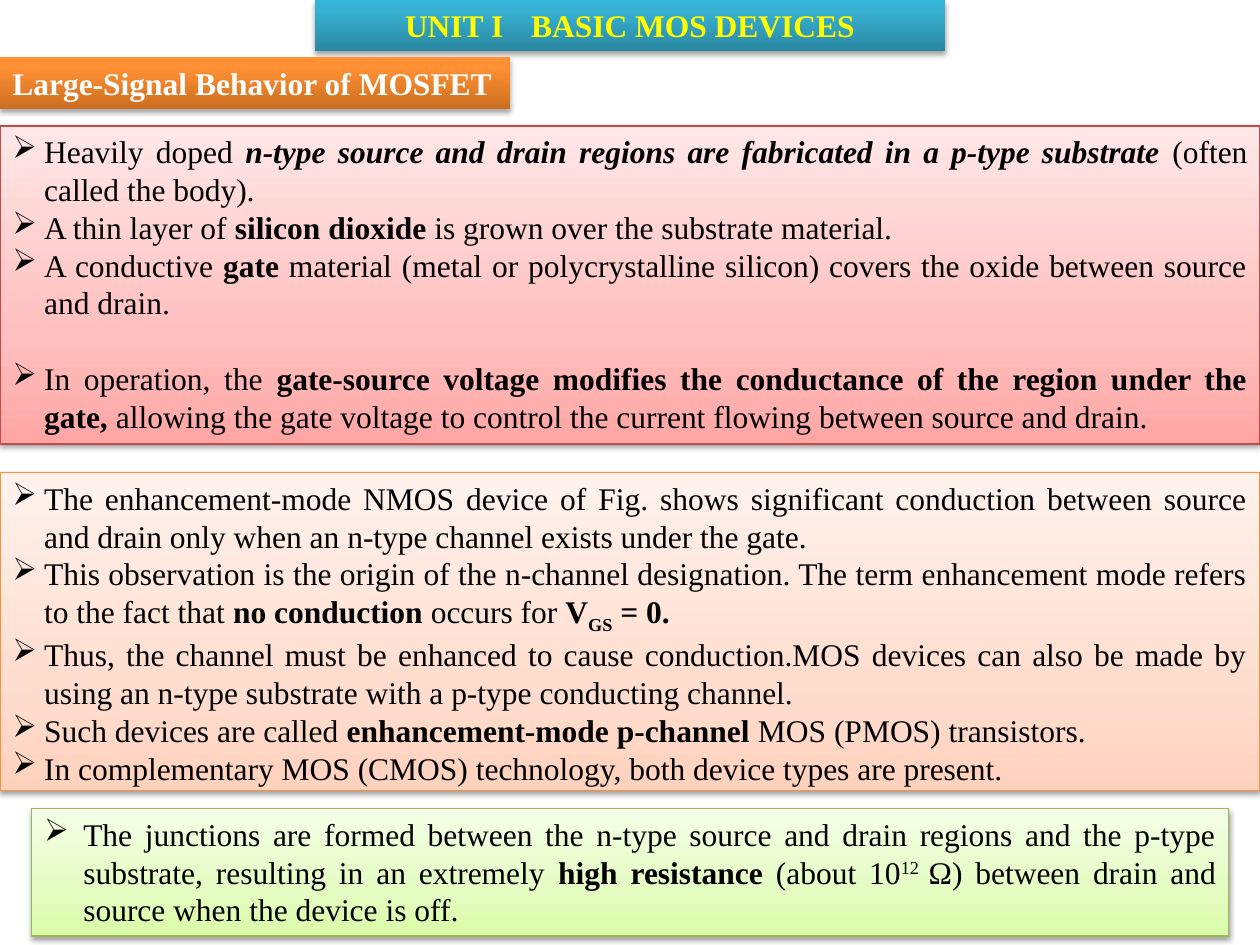
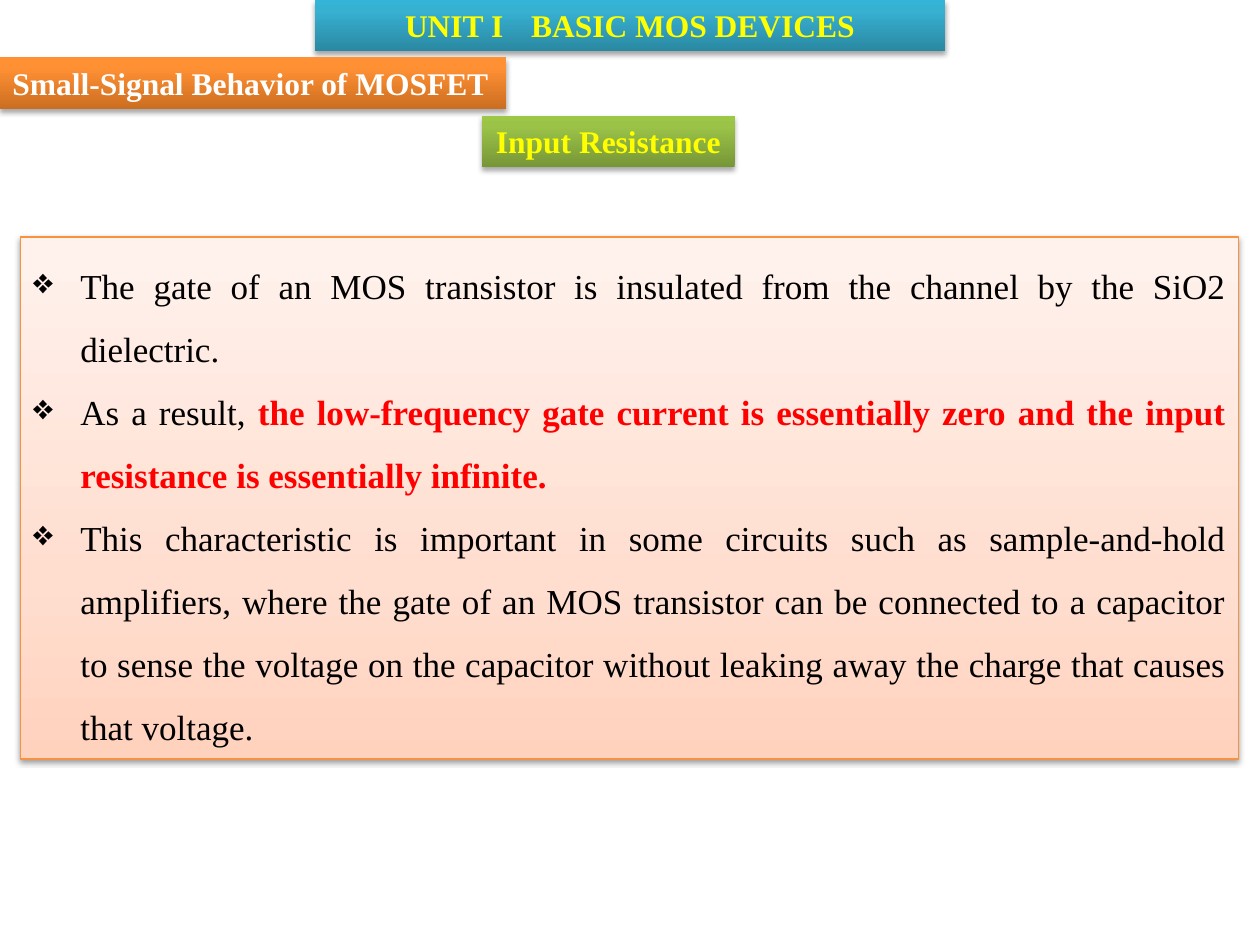
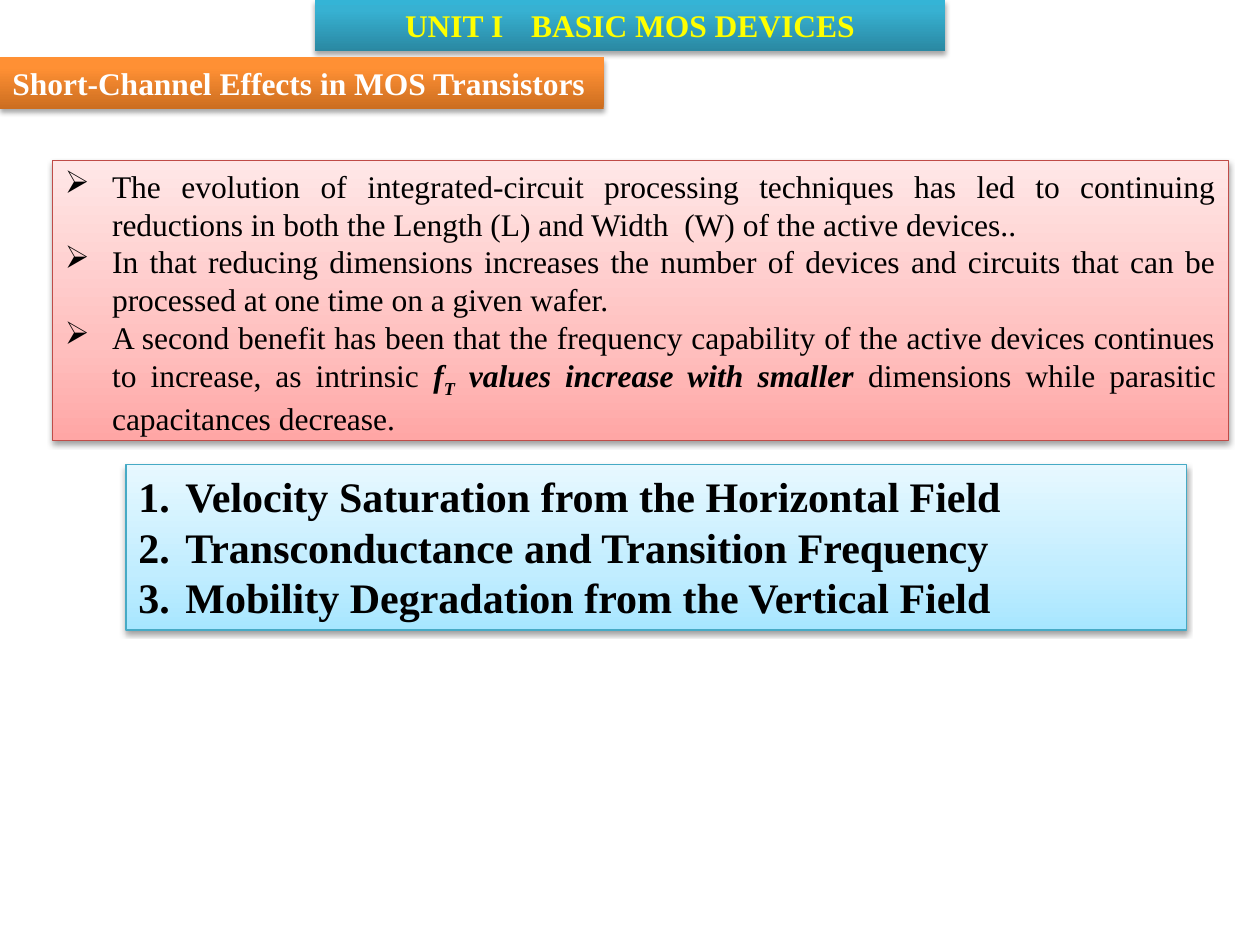
from dataclasses import dataclass

from lxml.etree import SubElement
from pptx import Presentation
from pptx.dml.color import RGBColor
from pptx.enum.shapes import MSO_SHAPE
from pptx.enum.text import MSO_ANCHOR, MSO_AUTO_SIZE, PP_ALIGN
from pptx.oxml.ns import qn
from pptx.util import Cm, Pt

RECTANGLE = MSO_SHAPE.RECTANGLE
TOP = MSO_ANCHOR.TOP
GROW = MSO_AUTO_SIZE.SHAPE_TO_FIT_TEXT
LEFT, CENTER, JUSTIFY = PP_ALIGN.LEFT, PP_ALIGN.CENTER, PP_ALIGN.JUSTIFY


@dataclass(frozen=True)
class Palette:
    stops: tuple
    outline: str = ""


@dataclass(frozen=True)
class Theme:
    font: str = "Times New Roman"
    body: int = 18
    large: int = 20
    topics: int = 24
    ink: str = "000000"
    white: str = "FFFFFF"
    yellow: str = "FFFF00"
    red: str = "FF0000"
    teal: Palette = Palette(((0, "2A88A2"), (80, "37B1D2"), (100, "34B4D6")))
    orange: Palette = Palette(((0, "CC6E20"), (80, "FF9034"), (100, "FF9136")))
    green: Palette = Palette(((0, "779737"), (80, "9BC348"), (100, "9DC746")))
    rose: Palette = Palette(((0, "FFA6A5"), (35, "FFC0BF"), (100, "FFE7E7")), "BF4C48")
    peach: Palette = Palette(((0, "FFD2BD"), (35, "FFDED0"), (100, "FFF2ED")), "F69240")
    lime: Palette = Palette(((0, "DAFDA7"), (35, "E4FCC2"), (100, "F5FFE7")), "98B955")
    sky: Palette = Palette(((0, "A7E6FF"), (35, "C1EDFF"), (100, "E7F8FF")), "46AAC5")


THEME = Theme()
UNIT = "UNIT I\tBASIC MOS DEVICES"
BAND_HEIGHT = 1.03
ARROW, DIAMOND, NUMBER = "➢", "❖", "1."

BOLD = {"bold": True}
STRONG = {"bold": True, "italic": True}
ALERT = {"bold": True, "color": THEME.red}
BOLD_SUB = {"bold": True, "baseline": -25}
STRONG_SUB = {**STRONG, "baseline": -25}
SUPER = {"baseline": 30}

STRUCTURE = [
    ["Heavily doped ",
     ("n-type source and drain regions are fabricated in a p-type substrate ", STRONG),
     "(often called the body)."],
    ["A thin layer of ", ("silicon dioxide ", BOLD), "is grown over the substrate material."],
    ["A conductive ", ("gate", BOLD),
     " material (metal or polycrystalline silicon) covers the oxide between source and drain."],
    ["In operation, the ",
     ("gate-source voltage modifies the conductance of the region under the gate, ", BOLD),
     "allowing the gate voltage to control the current flowing between source and drain."],
]
ENHANCEMENT = [
    ["The enhancement-mode NMOS device of Fig. shows significant conduction between source "
     "and drain only when an n-type channel exists under the gate. "],
    ["This observation is the origin of the n-channel designation. The term enhancement mode "
     "refers to the fact that ", ("no conduction ", BOLD), "occurs for ", ("V", BOLD),
     ("GS", BOLD_SUB), (" = 0. ", BOLD)],
    ["Thus, the channel must be enhanced to cause conduction.MOS devices can also be made by "
     "using an n-type substrate with a p-type conducting channel. "],
    ["Such devices are called ", ("enhancement-mode p-channel ", BOLD),
     "MOS (PMOS) transistors. "],
    ["In complementary MOS (CMOS) technology, both device types are present."],
]
JUNCTIONS = [
    ["The junctions are formed between the n-type source and drain regions and the p-type "
     "substrate, resulting in an extremely ", ("high resistance ", BOLD), "(about 10",
     ("12 ", SUPER), "Ω) between drain and source when the device is off."],
]
GATE_INPUT = [
    ["The gate of an MOS transistor is insulated from the channel by the SiO2 dielectric. "],
    ["As a result, ", ("the low-frequency gate current is essentially zero and the input "
                       "resistance is essentially infinite.", ALERT)],
    ["This characteristic is important in some circuits such as sample-and-hold amplifiers, "
     "where the gate of an MOS transistor can be connected to a capacitor to sense the voltage "
     "on the capacitor without leaking away the charge that causes that voltage."],
]
SCALING = [
    ["The evolution of integrated-circuit processing techniques has led to continuing "
     "reductions in both the Length (L) and Width  (W) of the active devices.. "],
    ["In that reducing dimensions increases the number of devices and circuits that can be "
     "processed at one time on a given wafer. "],
    ["A second benefit has been that the frequency capability of the active devices continues "
     "to increase, as intrinsic ", ("f", STRONG), ("T", STRONG_SUB),
     (" values increase with smaller ", STRONG),
     "dimensions while parasitic capacitances decrease."],
]
TOPICS = [
    [("Velocity Saturation from the Horizontal Field", BOLD)],
    [("Transconductance and Transition Frequency", BOLD)],
    [("Mobility Degradation from the Vertical Field", BOLD)],
]


def apply(target, formats):
    for name, value in formats.items():
        setattr(target, name, value)


def add_color(parent, color):
    return SubElement(parent, qn("a:srgbClr"), val=color)


def paint(shape, palette):
    shape.fill.gradient()
    shape.fill.gradient_angle = 90
    properties = shape._element.spPr
    stop_list = properties.find(qn("a:gradFill")).find(qn("a:gsLst"))
    stop_list.clear()
    for percent, color in palette.stops:
        add_color(SubElement(stop_list, qn("a:gs"), pos=str(percent * 1000)), color)
    if palette.outline:
        shape.line.color.rgb = RGBColor.from_string(palette.outline)
        shape.line.width = Pt(0.75)
        distance, opacity = Pt(1.6), 38
    else:
        shape.line.fill.background()
        distance, opacity = Pt(1.8), 35
    shape.shadow.inherit = False
    shadow = SubElement(properties.find(qn("a:effectLst")), qn("a:outerShdw"),
                        blurRad=str(Pt(3.1)), dist=str(distance), dir="5400000",
                        rotWithShape="0")
    SubElement(add_color(shadow, THEME.ink), qn("a:alpha"), val=str(opacity * 1000))


def add_box(slide, box, palette, wrap=True):
    shape = slide.shapes.add_shape(RECTANGLE, *map(Cm, box))
    paint(shape, palette)
    apply(shape.text_frame, {"word_wrap": wrap, "auto_size": GROW, "vertical_anchor": TOP})
    return shape.text_frame


def add_run(paragraph, text, size, color=THEME.ink, bold=False, italic=False, baseline=0):
    run = paragraph.add_run()
    run.text = text
    apply(run.font, {"name": THEME.font, "size": Pt(size), "bold": bold, "italic": italic})
    run.font.color.rgb = RGBColor.from_string(color)
    if baseline:
        run._r.get_or_add_rPr().set("baseline", str(baseline * 1000))


def set_bullet(paragraph, bullet, indent):
    properties = paragraph._p.get_or_add_pPr()
    properties.set("marL", str(Cm(indent)))
    properties.set("indent", str(-Cm(indent)))
    if bullet == NUMBER:
        SubElement(properties, qn("a:buAutoNum"), type="arabicPeriod")
    else:
        SubElement(properties, qn("a:buChar"), char=bullet)


def band(slide, box, text, palette, color, align=CENTER, wrap=False):
    paragraph = add_box(slide, box, palette, wrap).paragraphs[0]
    paragraph.alignment = align
    add_run(paragraph, text, THEME.body, color, bold=True)


def panel(slide, box, points, palette, bullet=ARROW, indent=0.95, size=THEME.body,
          spacing=None, gap_before=None):
    frame = add_box(slide, box, palette)
    for index, point in enumerate(points):
        paragraph = frame.paragraphs[0] if index == 0 else frame.add_paragraph()
        apply(paragraph, {"alignment": JUSTIFY, "line_spacing": spacing})
        if index == gap_before:
            paragraph.space_before = Pt(21.5)
        set_bullet(paragraph, bullet, indent)
        for part in point:
            text, style = (part, {}) if isinstance(part, str) else part
            add_run(paragraph, text, size, **style)


def add_unit_slide(deck, heading, heading_width):
    slide = deck.slides.add_slide(deck.slide_layouts[6])
    band(slide, (6.35, 0, 12.7, BAND_HEIGHT), UNIT, THEME.teal, THEME.yellow, wrap=True)
    band(slide, (0, 1.16, heading_width, BAND_HEIGHT), heading, THEME.orange, THEME.white, LEFT)
    return slide


def large_signal_slide(deck):
    slide = add_unit_slide(deck, "Large-Signal Behavior of MOSFET", 10.28)
    panel(slide, (0, 2.54, 25.4, 6.41), STRUCTURE, THEME.rose, indent=0.64, gap_before=3)
    panel(slide, (0, 9.53, 25.4, 6.41), ENHANCEMENT, THEME.peach, indent=0.64)
    panel(slide, (0.64, 16.3, 24.13, 2.57), JUNCTIONS, THEME.lime, indent=0.79)


def small_signal_slide(deck):
    slide = add_unit_slide(deck, "Small-Signal Behavior of MOSFET", 10.2)
    band(slide, (9.72, 2.33, 5.09, BAND_HEIGHT), "Input Resistance", THEME.green, THEME.yellow)
    panel(slide, (0.42, 4.78, 24.55, 10.52), GATE_INPUT, THEME.peach, DIAMOND,
          size=THEME.large, spacing=1.5)


def short_channel_slide(deck):
    slide = add_unit_slide(deck, "Short-Channel Effects in MOS Transistors", 12.17)
    panel(slide, (2.54, 9.37, 21.38, 3.33), TOPICS, THEME.sky, NUMBER, size=THEME.topics)
    panel(slide, (1.06, 3.24, 23.71, 5.64), SCALING, THEME.rose)


def main():
    deck = Presentation()
    apply(deck, {"slide_width": Cm(25.4), "slide_height": Cm(19.05)})
    for build in (large_signal_slide, small_signal_slide, short_channel_slide):
        build(deck)
    deck.save("out.pptx")


if __name__ == "__main__":
    main()
